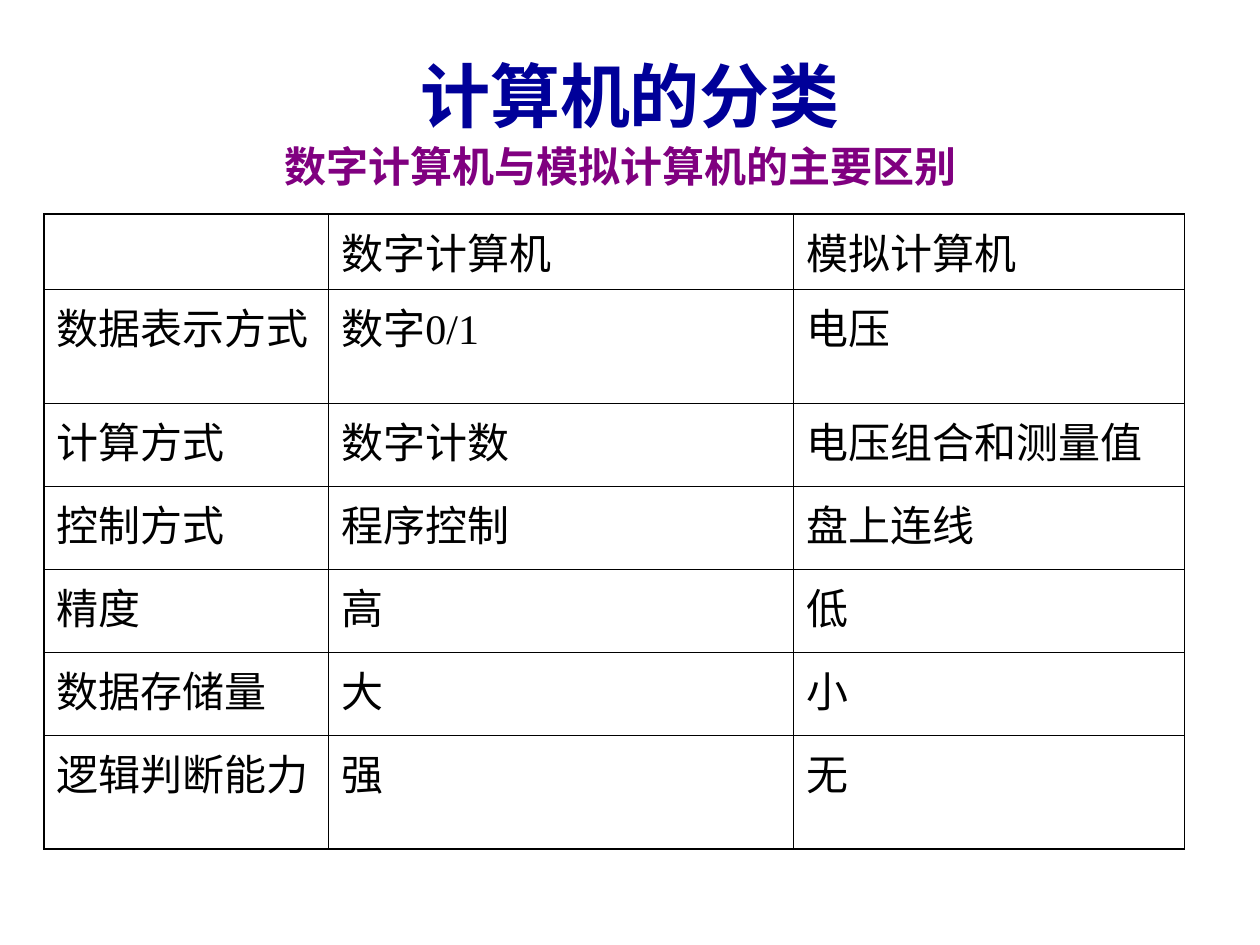
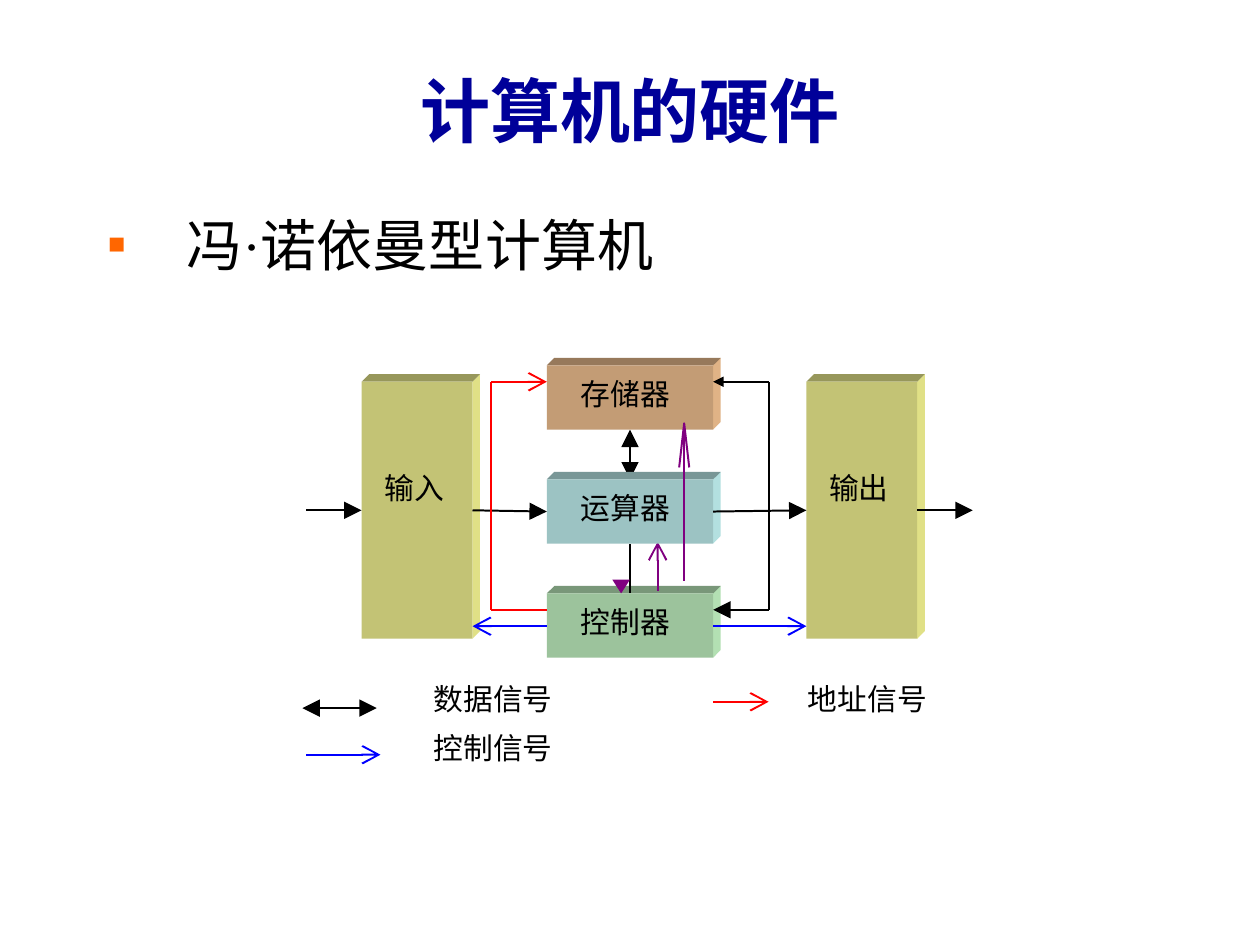
from dataclasses import dataclass

from lxml import etree
from pptx import Presentation
from pptx import util as u
from pptx.dml.color import RGBColor
from pptx.enum import shapes, text
from pptx.oxml.ns import qn


@dataclass(frozen=True)
class Theme:
    latin: str = "Times New Roman"
    asian: str = "Noto Sans CJK SC"
    title: str = "000099"
    sub: str = "800080"
    ink: str = "000000"
    bullet: str = "FF6600"
    port: str = "C3C375"
    store: str = "C39C75"
    alu: str = "9CC3C3"
    ctrl: str = "9CC39C"
    data: str = "000000"
    addr: str = "FF0000"
    sign: str = "0000FF"
    micro: str = "800080"
    head_size: int = 40
    body_size: int = 32
    cell_size: int = 24
    label_size: int = 17
    wire: float = 1.13
    outer: float = 1.08
    inner: float = 0.45


T = Theme()
ROWS = [
    ("", "数字计算机", "模拟计算机"),
    ("数据表示方式", "数字0/1", "电压"),
    ("计算方式", "数字计数", "电压组合和测量值"),
    ("控制方式", "程序控制", "盘上连线"),
    ("精度", "高", "低"),
    ("数据存储量", "大", "小"),
    ("逻辑判断能力", "强", "无"),
]


def rgb(code):
    return RGBColor.from_string(code)


def inch(*vals):
    return [u.Inches(v) for v in vals]


def add(node, tag, **attrs):
    return etree.SubElement(node, qn(tag), attrs)


def style(para, size, color, bold=False, latin=T.latin):
    for run in para.runs:
        font = run.font
        font.name, font.size, font.bold = latin, u.Pt(size), bold
        font.color.rgb = rgb(color)
        add(run.font._element, "a:ea", typeface=T.asian)


def pad(frame, left=0, top=0, right=0, bottom=0):
    frame.margin_left, frame.margin_top = inch(left, top)
    frame.margin_right, frame.margin_bottom = inch(right, bottom)


def title(slide, words, height):
    shape = slide.shapes.title
    shape.left, shape.top, shape.width, shape.height = inch(0.33, 0.42, 9.34, height)
    frame = shape.text_frame
    frame.text = words
    frame.vertical_anchor = text.MSO_ANCHOR.MIDDLE
    para = frame.paragraphs[0]
    para.alignment = text.PP_ALIGN.CENTER
    style(para, T.head_size, T.title, True)


def note(slide, box, words):
    """Add a wrapped text box and return its frame."""
    frame = slide.shapes.add_textbox(*inch(*box)).text_frame
    frame.word_wrap = True
    frame.text = words
    return frame


def border(cell, edges):
    """Draw cell edges; edges holds left, right, top, bottom widths."""
    props = cell._tc.get_or_add_tcPr()
    for side, width in zip("LRTB", edges):
        line = add(props, "a:ln" + side, w=str(u.Pt(width)))
        add(add(line, "a:solidFill"), "a:srgbClr", val=T.ink)


def grid(slide, box, rows, widths, heights):
    last_row, last_col = len(rows) - 1, len(widths) - 1
    table = slide.shapes.add_table(len(rows), len(widths), *inch(*box)).table
    table.first_row = table.horz_banding = False
    for col, width in zip(table.columns, widths):
        col.width = u.Inches(width)
    for row, height in zip(table.rows, heights):
        row.height = u.Inches(height)
    for r, row in enumerate(rows):
        for c, words in enumerate(row):
            cell = table.cell(r, c)
            rims = (c == 0, c == last_col, r == 0, r == last_row)
            border(cell, [T.outer if rim else T.inner for rim in rims])
            cell.fill.background()
            cell.text = words
            style(cell.text_frame.paragraphs[0], T.cell_size, T.ink)


class Board:
    """Drawing area whose parts are placed from its top left corner."""

    def __init__(self, slide, left, top):
        self.shapes, self.left, self.top = slide.shapes, left, top

    def at(self, x, y):
        return inch(self.left + x, self.top + y)

    def outline(self, points, fill=None, line=None):
        """Add a closed filled shape, or an open line without a fill."""
        first, *rest = [self.at(*p) for p in points]
        pen = self.shapes.build_freeform(*first, scale=1.0)
        pen.add_line_segments(rest, close=fill is not None)
        shape = pen.convert_to_shape()
        shape.shadow.inherit = False
        if fill is None:
            shape.fill.background()
        else:
            shape.fill.solid()
            shape.fill.fore_color.rgb = fill
        if line is None:
            shape.line.fill.background()
        else:
            shape.line.color.rgb = rgb(line)
            shape.line.width = u.Pt(T.wire)

    def block(self, box, color, words, inset):
        """Add a labelled box with a darker top and a lighter side."""
        x, y, w, h = box
        d = 0.06
        base = rgb(color)
        dark, light = [RGBColor(*(round(v * k) for v in base)) for k in (0.775, 1.148)]
        r, b = x + w, y + h
        self.outline([(r, b), (r, y), (r + d, y - d), (r + d, b - d)], light)
        self.outline([(r, y), (x, y), (x + d, y - d), (r + d, y - d)], dark)
        face = self.shapes.add_shape(
            shapes.MSO_SHAPE.RECTANGLE, *self.at(x, y), *inch(w, h))
        face.shadow.inherit = False
        face.fill.solid()
        face.fill.fore_color.rgb = base
        face.line.fill.background()
        frame = face.text_frame
        frame.text = words
        pad(frame, *inset)
        frame.vertical_anchor = text.MSO_ANCHOR.TOP
        para = frame.paragraphs[0]
        para.alignment = text.PP_ALIGN.LEFT
        style(para, T.label_size, T.ink, latin=T.asian)
        return face

    def wire(self, start, end, color, tail=None, head=None, size="lg"):
        line = self.shapes.add_connector(
            shapes.MSO_CONNECTOR.STRAIGHT, *self.at(*start), *self.at(*end))
        line.line.color.rgb = rgb(color)
        line.line.width = u.Pt(T.wire)
        pen = line.line._get_or_add_ln()
        for tag, kind in (("a:headEnd", head), ("a:tailEnd", tail)):
            if kind:
                add(pen, tag, type=kind, w=size, len=size)
        add(line._element.spPr, "a:effectLst")
        return line

    def label(self, x, y, words):
        box = self.shapes.add_textbox(*self.at(x, y), *inch(0.95, 0.28))
        frame = box.text_frame
        frame.word_wrap = False
        pad(frame)
        frame.text = words
        style(frame.paragraphs[0], T.label_size, T.ink, latin=T.asian)


def join(line, start=None, end=None):
    if start:
        line.begin_connect(*start)
    if end:
        line.end_connect(*end)


def machine(slide, left, top):
    """Draw the five units and the signals between them."""
    board = Board(slide, left, top)
    x, right, w, h = 1.94, 3.26, 1.32, 0.51
    tops = [0.05 + 0.905 * i for i in range(3)]
    mid = 2.53

    def unit(row, color, words):
        return board.block((x, tops[row], w, h), color, words, (0.27, 0.08))

    def port(edge, words):
        return board.block((edge, 0.18, 0.88, 2.04), T.port, words, (0.18, 0.7))

    ctrl = unit(2, T.ctrl, "控制器")
    fetch = board.wire((mid, 0.56), (mid, 0.95), T.data, "triangle", "triangle")
    order = board.wire((mid, 1.47), (mid, 1.86), T.data)
    board.outline([(mid - 0.07, 1.75), (mid, 1.86), (mid + 0.07, 1.75)], rgb(T.micro))
    board.wire((2.82, 1.84), (2.82, 1.45), T.micro, "arrow")
    store = unit(0, T.store, "存储器")
    output = port(4.0, "输出")
    enter = port(0.47, "输入")
    alu = unit(1, T.alu, "运算器")
    join(fetch, (store, 2), (alu, 0))
    join(order, (alu, 2), (ctrl, 0))

    flow = 1.2
    for begin, finish, start, end in (
        (0.03, 0.47, None, (enter, 1)),
        (1.35, x, (enter, 3), (alu, 1)),
        (right, 4.0, (alu, 3), (output, 1)),
        (4.88, 5.32, (output, 3), None),
    ):
        line = board.wire((begin, flow), (finish, flow), T.data, "triangle")
        join(line, start, end)

    high, low, sign = 0.18, 1.99, 2.12
    board.wire((3.7, high), (right, high), T.data, "triangle", size="med")
    board.wire((3.7, high), (3.7, low), T.data)
    board.wire((3.7, low), (right, low), T.data, "triangle")
    board.wire((x, low), (1.5, low), T.addr)
    board.wire((1.5, low), (1.5, high), T.addr)
    board.wire((1.5, high), (x, high), T.addr, "arrow")
    board.wire((x, sign), (1.35, sign), T.sign, "arrow")
    board.wire((right, sign), (4.0, sign), T.sign, "arrow")
    board.wire((3.03, 1.76), (3.03, 0.51), T.micro)
    board.outline([(3.07, 0.86), (3.03, 0.51), (2.99, 0.86)], line=T.micro)


def legend(slide, left, top):
    board = Board(slide, left, top)
    board.wire((0, 0.22), (0.59, 0.22), T.data, "triangle", "triangle")
    board.wire((0.03, 0.59), (0.62, 0.59), T.sign, "arrow")
    board.wire((3.26, 0.17), (3.7, 0.17), T.addr, "arrow")
    for x, y, words in ((1.04, 0, "数据信号"), (1.04, 0.39, "控制信号"),
                        (4.01, 0, "地址信号")):
        board.label(x, y, words)


def kinds(slide):
    title(slide, "计算机的分类", 0.66)
    grid(slide, (0.35, 1.7, 9.05, 5.04), ROWS, (2.26, 3.69, 3.1),
         (0.6, 0.9, 0.66, 0.66, 0.66, 0.66, 0.9))
    frame = note(slide, (2.16, 1.07, 5.67, 0.5), "数字计算机与模拟计算机的主要区别")
    style(frame.paragraphs[0], T.cell_size, T.sub, True)


def hardware(slide):
    title(slide, "计算机的硬件", 0.89)
    para = note(slide, (0.75, 1.62, 8.66, 0.8), "冯·诺依曼型计算机").paragraphs[0]
    props = para._p.get_or_add_pPr()
    indent = u.Inches(0.63)
    props.set("marL", str(indent))
    props.set("indent", str(-indent))
    add(add(props, "a:buClr"), "a:srgbClr", val=T.bullet)
    add(props, "a:buFont", typeface=T.latin)
    add(props, "a:buChar", char="▪")
    style(para, T.body_size, T.ink)
    machine(slide, 2.4, 2.85)
    legend(slide, 2.4, 5.4)


def main():
    deck = Presentation()
    deck.slide_width, deck.slide_height = inch(10, 7.5)
    for build in (kinds, hardware):
        build(deck.slides.add_slide(deck.slide_layouts[5]))
    deck.save("out.pptx")


if __name__ == "__main__":
    main()
